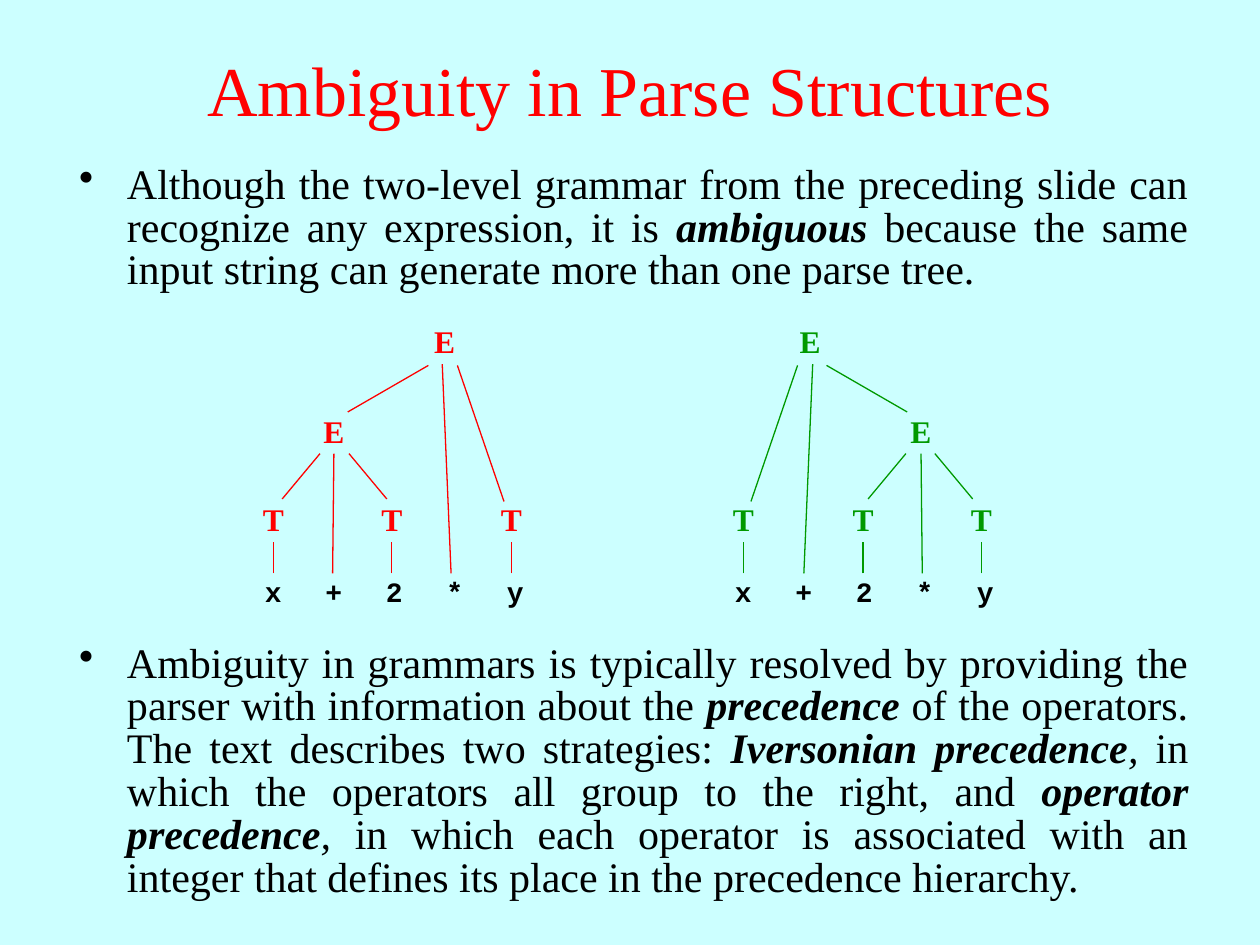
from lxml import etree
from pptx import Presentation
from pptx import util as u
from pptx.dml.color import RGBColor
from pptx.enum import shapes, text
from pptx.oxml.ns import qn

RED = RGBColor(0xFF, 0x00, 0x00)
GREEN = RGBColor(0x00, 0x99, 0x00)
BLACK = RGBColor(0x00, 0x00, 0x00)
PALE_CYAN = RGBColor(0xCC, 0xFF, 0xFF)
SERIF, MONO = "Times New Roman", "Courier New"

WIDTH, HEIGHT = 10, 7.5
TITLE = "Ambiguity in Parse Structures"
PLAIN, ITALIC, STRONG = (False, False), (False, True), (True, True)
BULLETS = [
    (1.26, 1.24, [
        ("Although the two-level grammar from the preceding slide can recognize any expression, it is ", PLAIN),
        ("ambiguous", STRONG),
        (" because the same input string can generate more than one parse tree.", PLAIN),
    ]),
    (5.06, 2.19, [
        ("Ambiguity in grammars is typically resolved by providing the parser "
         "with information about the ", PLAIN),
        ("precedence", STRONG),
        (" of the operators. The text describes two strategies: ", PLAIN),
        ("Iversonian precedence", STRONG),
        (",", ITALIC),
        (" in which the operators all group to the right, and ", PLAIN),
        ("operator precedence", STRONG),
        (",", ITALIC),
        (" in which each operator is associated with an integer that defines "
         "its place in the precedence hierarchy.", PLAIN),
    ]),
]

TOKENS = ["x", "+", "2", "*", "y"]
TOKEN_STEP, TOKEN_TOP = 0.48, 4.51
NODE_WIDTH = 0.5
NODES = [("T", 0, 3.92), ("T", 0.94, 3.92), ("T", 1.89, 3.92),
         ("E", 0.48, 3.22), ("E", 1.36, 2.51)]
BRANCHES = [
    ((0, 4.55), (0, 4.3)),
    ((0.94, 4.55), (0.94, 4.3)),
    ((1.89, 4.55), (1.89, 4.3)),
    ((0.47, 4.55), (0.48, 3.6)),
    ((0.07, 3.96), (0.37, 3.6)),
    ((0.9, 3.96), (0.6, 3.6)),
    ((1.41, 4.55), (1.34, 2.89)),
    ((0.59, 3.27), (1.23, 2.9)),
    ((1.83, 3.98), (1.46, 2.9)),
]
TREES = [(RED, 2.17, 2.17, 1), (GREEN, 5.9, 7.79, -1)]


def add_text(page, left, top, width, height, runs, size, font, color, align):
    box = page.shapes.add_textbox(*map(u.Inches, (left, top, width, height)))
    frame = box.text_frame
    frame.word_wrap = True
    para = frame.paragraphs[0]
    para.alignment = align
    for words, (bold, italic) in runs:
        span = para.add_run()
        span.text = words
        span.font.name, span.font.size = font, u.Pt(size)
        span.font.bold, span.font.italic = bold, italic
        span.font.color.rgb = color
    return frame


def add_bullet(page, top, height, runs):
    frame = add_text(page, 0.53, top, 9, height, runs, 24, SERIF, BLACK,
                     text.PP_ALIGN.JUSTIFY)
    para = frame.paragraphs[0]
    para.line_spacing = 0.85
    props = para._p.get_or_add_pPr()
    props.set("marL", str(u.Inches(0.38)))
    props.set("indent", str(-u.Inches(0.38)))
    etree.SubElement(props, qn("a:buChar")).set("char", "•")


def add_label(page, label, center, top, height, size, font, color):
    add_text(page, center - NODE_WIDTH / 2, top, NODE_WIDTH, height,
             [(label, (True, False))], size, font, color, text.PP_ALIGN.CENTER)


def add_branch(page, start, end, color):
    line = page.shapes.add_connector(shapes.MSO_CONNECTOR.STRAIGHT,
                                     *map(u.Inches, start + end))
    line.line.color.rgb = color
    line.line.width = u.Pt(0.75)
    etree.SubElement(line._element.spPr, qn("a:effectLst"))


def add_tree(page, color, first_token, origin, direction):
    for index, token in enumerate(TOKENS):
        add_label(page, token, first_token + index * TOKEN_STEP, TOKEN_TOP,
                  0.37, 16, MONO, BLACK)
    for (x1, y1), (x2, y2) in BRANCHES:
        add_branch(page, (origin + direction * x1, y1),
                   (origin + direction * x2, y2), color)
    for label, offset, top in NODES:
        add_label(page, label, origin + direction * offset, top,
                  0.4, 18, SERIF, color)


def main():
    deck = Presentation()
    deck.slide_width, deck.slide_height = u.Inches(WIDTH), u.Inches(HEIGHT)
    page = deck.slides.add_slide(deck.slide_layouts[6])
    page.background.fill.solid()
    page.background.fill.fore_color.rgb = PALE_CYAN

    title = add_text(page, 0, 0.08, WIDTH, 1.25, [(TITLE, PLAIN)], 40, SERIF,
                     RED, text.PP_ALIGN.CENTER)
    title.vertical_anchor = text.MSO_ANCHOR.MIDDLE
    for bullet in BULLETS:
        add_bullet(page, *bullet)
    for tree in TREES:
        add_tree(page, *tree)
    deck.save("out.pptx")


if __name__ == "__main__":
    main()
